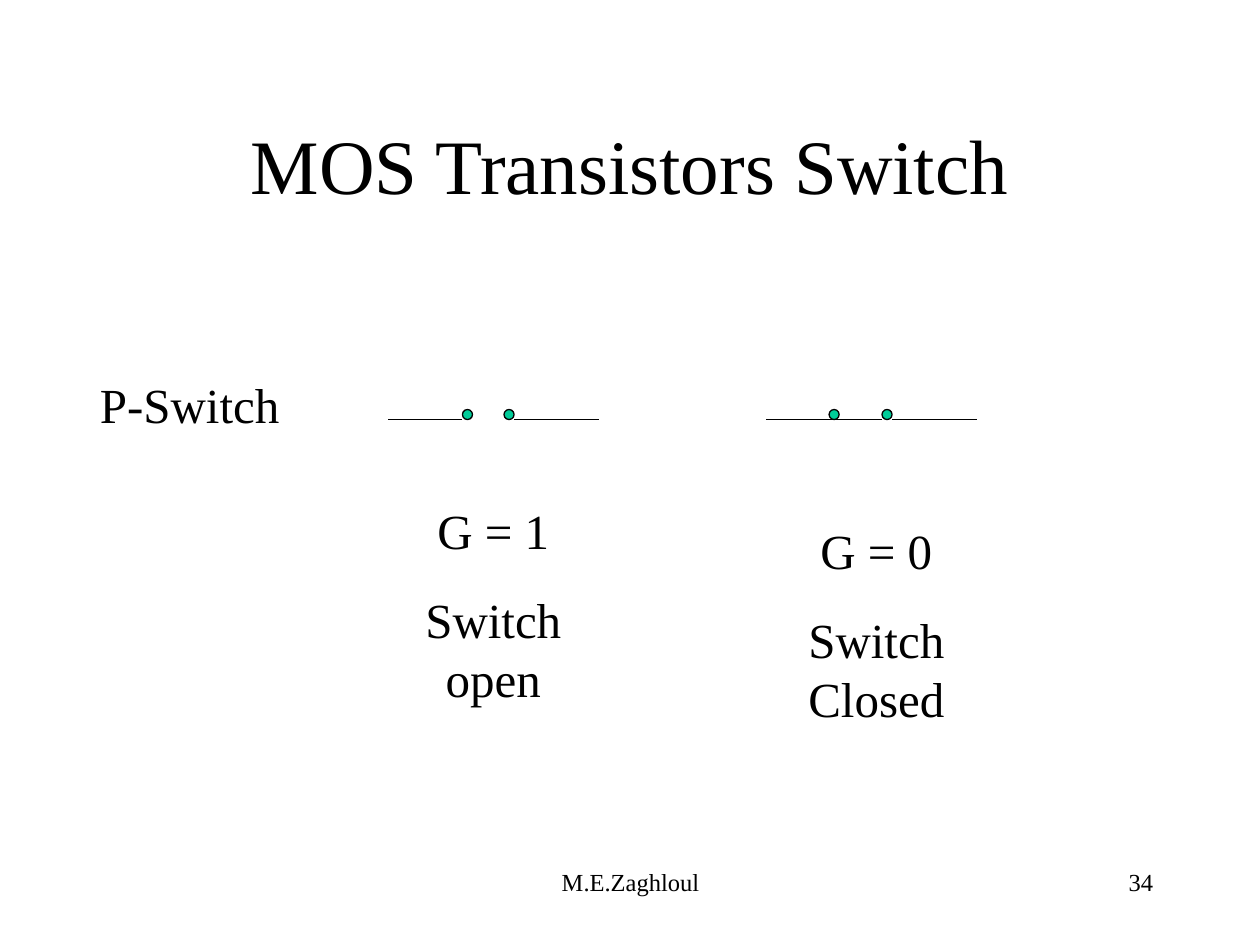
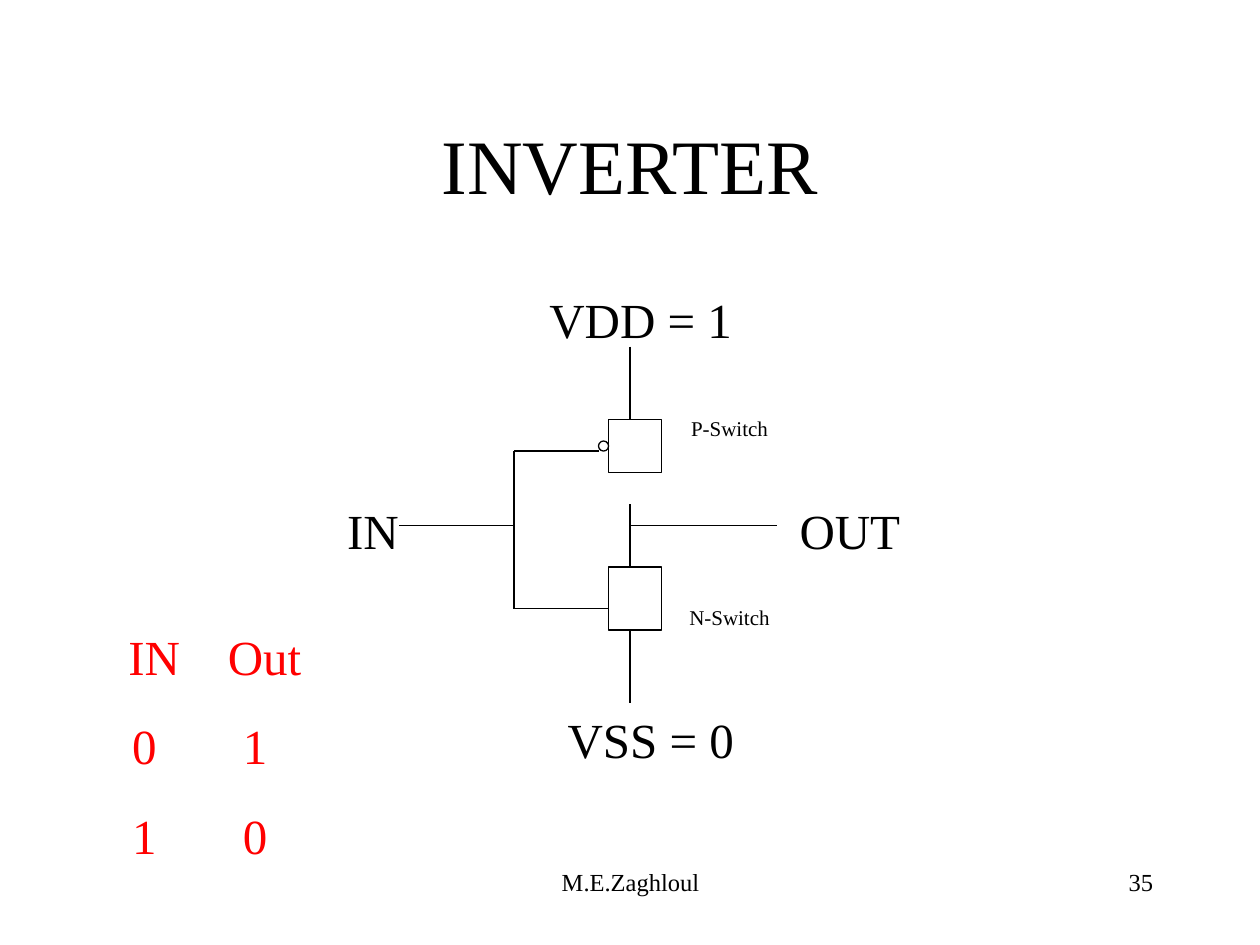
"""Build two slides on MOS transistor switches and the inverter."""
from lxml import etree
from pptx import Presentation
from pptx import util as u
from pptx.dml.color import RGBColor
from pptx.enum import shapes, text
from pptx.oxml.ns import qn

COLORS = {"ink": "000000", "paper": "FFFFFF", "dot": "00CC99", "truth": "FF0000"}
FONT = "Times New Roman"
DOT = 0.08
ALIGN = text.PP_ALIGN
OVAL = shapes.MSO_SHAPE.OVAL
RECTANGLE = shapes.MSO_SHAPE.RECTANGLE


def add_text(page, words, at, size=28, color="ink", align=ALIGN.CENTER,
             anchor=text.MSO_ANCHOR.TOP, grow=True, gap=17.5, tabs=()):
    box = page.shapes.add_textbox(*map(u.Inches, at))
    frame = box.text_frame
    frame.word_wrap = True
    frame.vertical_anchor = anchor
    frame.auto_size = text.MSO_AUTO_SIZE.SHAPE_TO_FIT_TEXT if grow else text.MSO_AUTO_SIZE.NONE
    for index, line in enumerate(words.split("\n")):
        para = frame.paragraphs[0] if index == 0 else frame.add_paragraph()
        para.alignment = align
        if index:
            para.space_before = u.Pt(gap)
        if tabs:
            stops = etree.SubElement(para._p.get_or_add_pPr(), qn("a:tabLst"))
            for stop in tabs[index]:
                etree.SubElement(stops, qn("a:tab"), pos=str(u.Inches(stop)), algn="l")
        span = para.add_run()
        span.text = line
        span.font.name = FONT
        span.font.size = u.Pt(size)
        span.font.color.rgb = RGBColor.from_string(COLORS[color])


def draw(page, wires, symbols):
    for ends in wires:
        wire = page.shapes.add_connector(shapes.MSO_CONNECTOR.STRAIGHT, *map(u.Inches, ends))
        wire.line.color.rgb = RGBColor.from_string(COLORS["ink"])
        wire.line.width = u.Pt(0.75)
        etree.SubElement(wire._element.spPr, qn("a:effectLst"))
    for kind, fill, *at in symbols:
        symbol = page.shapes.add_shape(kind, *map(u.Inches, at))
        symbol.shadow.inherit = False
        symbol.fill.solid()
        symbol.fill.fore_color.rgb = RGBColor.from_string(COLORS[fill])
        symbol.line.color.rgb = RGBColor.from_string(COLORS["ink"])
        symbol.line.width = u.Pt(0.75)


deck = Presentation()
deck.slide_width, deck.slide_height = u.Inches(10), u.Inches(7.5)

pages = []
for number, title in enumerate(("MOS Transistors Switch", "INVERTER"), start=34):
    page = deck.slides.add_slide(deck.slide_layouts[6])
    page.background.fill.solid()
    page.background.fill.fore_color.rgb = RGBColor.from_string(COLORS["paper"])
    add_text(page, "M.E.Zaghloul", (3.42, 6.83, 3.17, 0.5), size=14, grow=False)
    add_text(page, str(number), (7.17, 6.83, 2.08, 0.5), size=14, align=ALIGN.RIGHT, grow=False)
    add_text(page, title, (0.75, 0.67, 8.5, 1.25), size=44,
             anchor=text.MSO_ANCHOR.MIDDLE, grow=False)
    pages.append(page)
switch_page, inverter_page = pages

wire_y = 3.33
switch_wires = [(start, wire_y, end, wire_y) for start, end in
                ((3.08, 3.67), (4.08, 4.75), (6.08, 6.67), (6.67, 7), (7.08, 7.75))]
contacts = [(OVAL, "dot", left, 3.25, DOT, DOT) for left in (3.67, 4, 6.58, 7)]
draw(switch_page, switch_wires, contacts)
add_text(switch_page, "P-Switch", (0.67, 2.92, 1.67, 0.57))
add_text(switch_page, "G = 1\nSwitch open", (3, 3.92, 1.83, 1.75))
add_text(switch_page, "G = 0\nSwitch Closed", (6.08, 4.08, 1.75, 1.75))

supply_x, gate_x, middle_y = 5, 4.08, 4.17
p_gate_y, n_gate_y = 3.58, 4.83
inverter_wires = [
    (supply_x, 2.75, supply_x, 3.33),
    (supply_x, 4, supply_x, 4.75),
    (supply_x, 5, supply_x, 5.58),
    (4.75, p_gate_y, gate_x, p_gate_y),
    (gate_x, p_gate_y, gate_x, n_gate_y),
    (gate_x, n_gate_y, 4.83, n_gate_y),
    (3.17, middle_y, gate_x, middle_y),
    (supply_x, middle_y, 6.17, middle_y),
]
transistors = [
    (RECTANGLE, "paper", 4.83, 3.33, 0.42, 0.42),
    (RECTANGLE, "paper", 4.83, 4.5, 0.42, 0.5),
    (OVAL, "paper", 4.75, 3.5, DOT, DOT),
]
draw(inverter_page, inverter_wires, transistors)
for label, left, top, width in (("VDD = 1", 4.17, 2.25, 1.83), ("VSS = 0", 4.33, 5.58, 1.67),
                                ("IN", 2.17, 3.92, 1.58), ("OUT", 5.83, 3.92, 1.83)):
    add_text(inverter_page, label, (left, top, width, 0.57))
for label, top in (("P-Switch", 3.25), ("N-Switch", 4.75)):
    add_text(inverter_page, label, (5.33, top, 0.92, 0.3), size=12)
digit_stops = (0.28, 1.16)
add_text(inverter_page, "\tIN\tOut\n\t0\t1\n\t1\t0", (0.67, 4.92, 2.08, 1.99), color="truth",
         align=ALIGN.LEFT, tabs=((0.25, 1.04), digit_stops, digit_stops))

deck.save("out.pptx")
